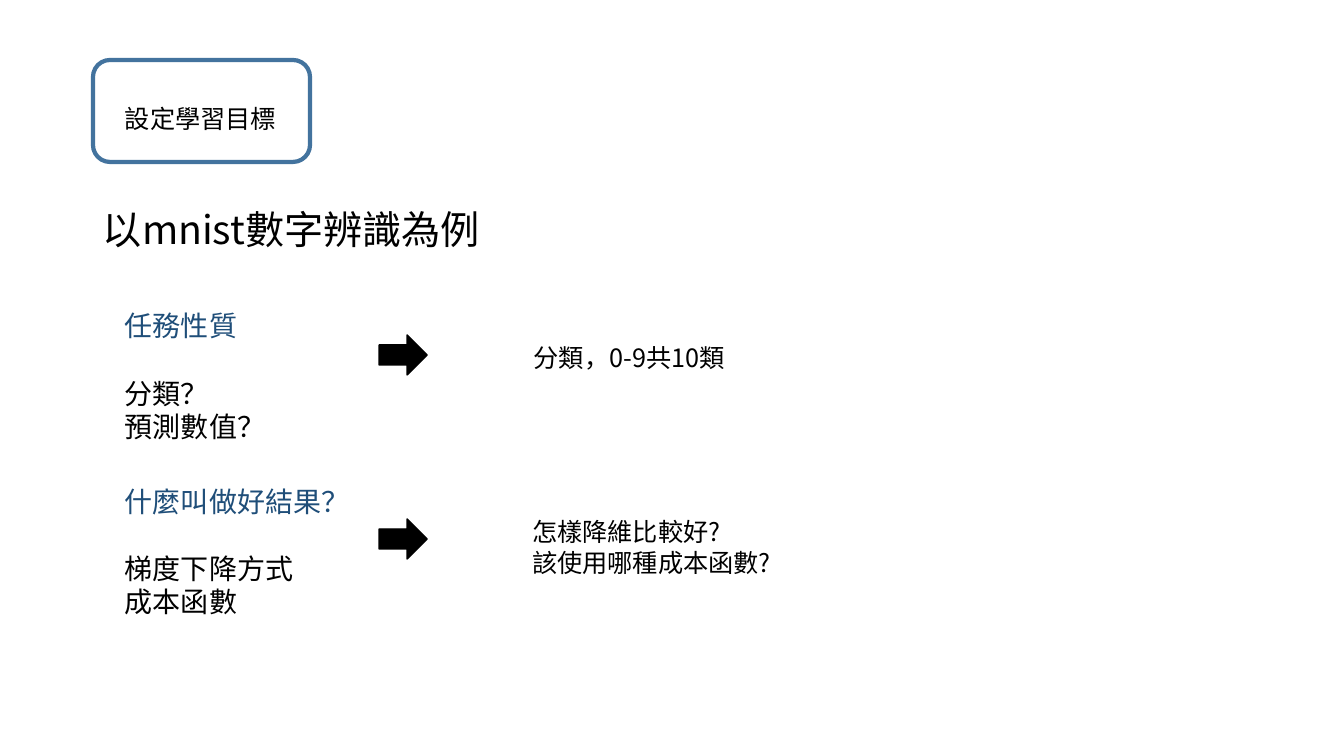
import pptx
import pptx.util
import pptx.dml.color
import pptx.enum.shapes
import pptx.enum.text
import pptx.oxml.ns
from lxml import etree

# Content
FONT = "Noto Sans CJK JP"
COLORS = {"ink": "000000", "heading": "1F4E79", "frame": "43739E", "paper": "FFFFFF"}
STEP = "設定學習目標"
EXAMPLE = "以mnist數字辨識為例"
QUESTIONS = [
    ("任務性質", ["分類？", "預測數值？"]),
    ("什麼叫做好結果？", ["梯度下降方式", "成本函數"]),
]
# Answer lines, box (left, top, width, height), alignment, arrow top
ANSWERS = [
    (["分類，0-9共10類"], (482, 337, 294, 40), "CENTER", 335),
    (["怎樣降維比較好?", "該使用哪種成本函數?"], (522, 511, 274, 72), "LEFT", 519),
]
PX = 914400 / 100.8

presentation = pptx.Presentation()
presentation.slide_width = pptx.util.Inches(13.33)
presentation.slide_height = pptx.util.Inches(7.5)
slide = presentation.slides.add_slide(presentation.slide_layouts[6])


def emu(box):
    return [round(length * PX) for length in box]


def color(name):
    return pptx.dml.color.RGBColor.from_string(COLORS[name])


def add_text(box, lines, size, leading, align="LEFT"):
    """Lines are (text, color name, space before in points)."""
    frame = slide.shapes.add_textbox(*emu(box)).text_frame
    frame.word_wrap = True
    frame.text = "\n".join(text for text, _, _ in lines)
    for paragraph, (_, ink, gap) in zip(frame.paragraphs, lines):
        paragraph.alignment = getattr(pptx.enum.text.PP_ALIGN, align)
        paragraph.line_spacing = pptx.util.Pt(leading)
        paragraph.space_before = pptx.util.Pt(gap)
        for run in paragraph.runs:
            run.font.size = pptx.util.Pt(size)
            run.font.name = FONT
            run.font.color.rgb = color(ink)
            east_asian = etree.SubElement(run.font._element, pptx.oxml.ns.qn("a:ea"))
            east_asian.set("typeface", FONT)


def add_shape(kind, box, fill, line, width):
    shape = slide.shapes.add_shape(getattr(pptx.enum.shapes.MSO_SHAPE, kind), *emu(box))
    shape.shadow.inherit = False
    shape.fill.solid()
    shape.fill.fore_color.rgb = color(fill)
    shape.line.color.rgb = color(line)
    shape.line.width = pptx.util.Pt(width)


# Step label and example title
add_shape("ROUNDED_RECTANGLE", (93, 60, 217, 102), "paper", "frame", 3)
add_text((115, 98, 190, 40), [(STEP, "ink", 0)], 18, 22)
add_text((93, 205, 1159, 60), [(EXAMPLE, "ink", 0)], 28, 30)

# Questions, each heading set apart from its options
question_lines = []
for heading, options in QUESTIONS:
    question_lines.append((heading, "heading", 29 if question_lines else 0))
    question_lines += [(option, "ink", 0 if i else 24) for i, option in enumerate(options)]
add_text((115, 304, 270, 363), question_lines, 20, 24)

# Answers with their arrows
for lines, box, align, arrow_top in ANSWERS:
    add_text(box, [(line, "ink", 0) for line in lines], 18, 22, align)
    add_shape("RIGHT_ARROW", (379, arrow_top, 48, 40), "ink", "ink", 1)

presentation.save("out.pptx")
